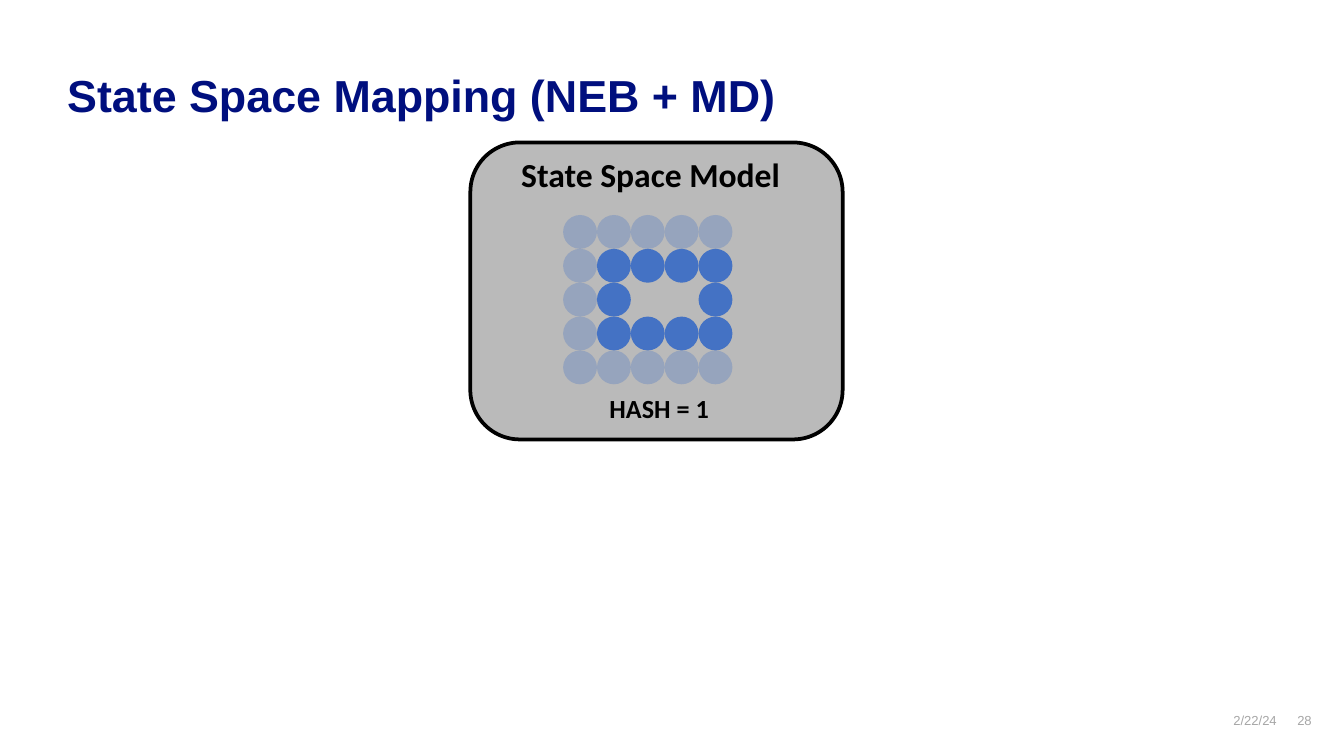
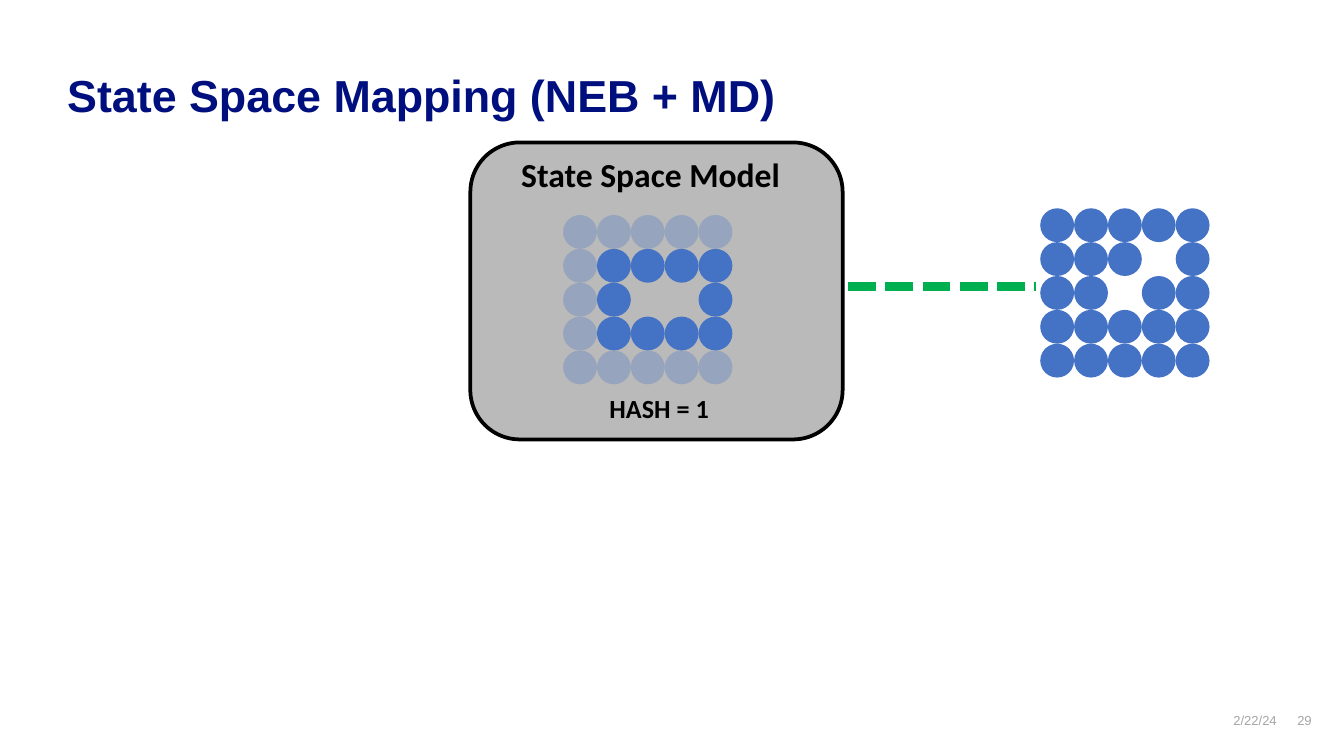
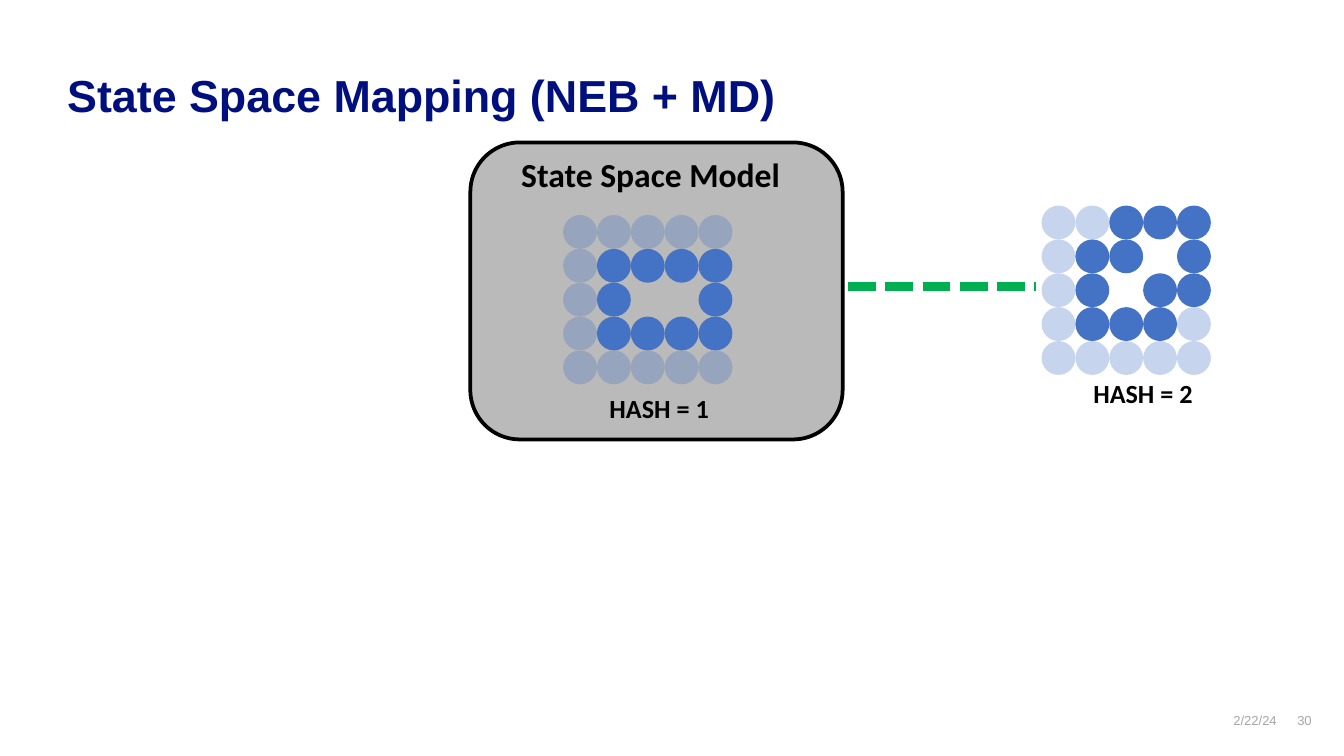
from lxml.etree import SubElement
from pptx import Presentation
from pptx.dml.color import RGBColor
from pptx.enum.dml import MSO_LINE
from pptx.enum.shapes import MSO_CONNECTOR, MSO_SHAPE
from pptx.enum.text import MSO_ANCHOR, MSO_AUTO_SIZE, PP_ALIGN
from pptx.oxml.ns import qn
from pptx.util import Inches, Pt

COLORS = {
    "title": "000F7E",
    "footer": "A6A6A6",
    "ink": "000000",
    "atom": "4472C4",
    "transition": "00B050",
}
TITLE = "State Space Mapping (NEB + MD)"
DATE = "2/22/24"
FIRST_NUMBER = 28
LATTICE_SIDE = 1.26

MODEL_LATTICE = ["ooooo", "o####", "o#  #", "o####", "ooooo"]
NEW_LATTICE = ["#####", "### #", "## ##", "#####", "#####"]
HASHED_LATTICE = ["oo###", "o## #", "o# ##", "o###o", "ooooo"]


def color(name):
    return RGBColor.from_string(COLORS[name])


def set_fill(shape, name, opacity=100):
    shape.fill.solid()
    shape.fill.fore_color.rgb = color(name)
    if opacity < 100:
        color_element = shape._element.spPr.find(qn("a:solidFill"))[0]
        SubElement(color_element, qn("a:alpha"), val=str(opacity * 1000))


def write(shape, text, size, font_name, color_name, bold=False,
          alignment=PP_ALIGN.LEFT, wrap=True, inset=True):
    frame = shape.text_frame
    frame.text = text
    frame.word_wrap = wrap
    frame.auto_size = MSO_AUTO_SIZE.NONE
    frame.vertical_anchor = MSO_ANCHOR.TOP
    if not inset:
        frame.margin_left = frame.margin_right = 0
        frame.margin_top = frame.margin_bottom = 0
    paragraph = frame.paragraphs[0]
    paragraph.alignment = alignment
    paragraph.font.size = Pt(size)
    paragraph.font.name = font_name
    paragraph.font.bold = bold
    paragraph.font.color.rgb = color(color_name)


def add_text(slide, left, top, width, height, text, *style, **options):
    box = slide.shapes.add_textbox(
        Inches(left), Inches(top), Inches(width), Inches(height))
    write(box, text, *style, **options)


def add_frame(presentation, number):
    slide = presentation.slides.add_slide(presentation.slide_layouts[5])
    title = slide.shapes.title
    title.left, title.top = Inches(0.5), Inches(0.5)
    title.width, title.height = Inches(9.03), Inches(0.73)
    write(title, TITLE, 24, "Arial", "title", bold=True, inset=False)
    for left, width, height, text in (
            (9.52, 0.24, 0.22, str(number)), (8.83, 0.67, 0.16, DATE)):
        add_text(slide, left, 5.3, width, height, text, 7, "Arial", "footer",
                 alignment=PP_ALIGN.RIGHT, inset=False)
    return slide


def add_lattice(slide, left, top, rows):
    lattice = slide.shapes.add_group_shape()
    pitch = LATTICE_SIDE / len(rows)
    for row, sites in enumerate(rows):
        for column, site in enumerate(sites):
            if site == " ":
                continue
            atom = lattice.shapes.add_shape(
                MSO_SHAPE.OVAL,
                Inches(left + column * pitch), Inches(top + row * pitch),
                Inches(pitch), Inches(pitch))
            atom.shadow.inherit = False
            atom.line.fill.background()
            set_fill(atom, "atom", 100 if site == "#" else 30)


def add_hash(slide, left, top, value):
    add_text(slide, left, top, 0.95, 0.34, f"HASH = {value}", 14, "Calibri", "ink",
             bold=True, alignment=PP_ALIGN.CENTER, wrap=False)


def add_model(slide, left, top, width, height):
    panel = slide.shapes.add_shape(
        MSO_SHAPE.ROUNDED_RECTANGLE,
        Inches(left), Inches(top), Inches(width), Inches(height))
    panel.shadow.inherit = False
    set_fill(panel, "ink", 27)
    panel.line.color.rgb = color("ink")
    panel.line.width = Pt(2)
    add_lattice(slide, left + 0.69, top + 0.54, MODEL_LATTICE)
    add_hash(slide, left + 0.93, top + 1.81, 1)
    add_text(slide, left + 0.28, top + 0.04, width - 0.28, 0.4,
             "State Space Model", 18, "Calibri", "ink", bold=True)


def add_transition(slide, left, right, y):
    connector = slide.shapes.add_connector(
        MSO_CONNECTOR.STRAIGHT, Inches(left), Inches(y), Inches(right), Inches(y))
    connector.line.color.rgb = color("transition")
    connector.line.width = Pt(5)
    connector.line.dash_style = MSO_LINE.SQUARE_DOT
    SubElement(connector._element.spPr, qn("a:effectLst"))


def add_new_state(slide, left, top, rows, hash_value=None):
    add_lattice(slide, left, top, rows)
    if hash_value is not None:
        add_hash(slide, left + 0.28, top + 1.23, hash_value)
    add_transition(slide, 6.31, 7.71, 2.13)


def main():
    presentation = Presentation()
    presentation.slide_width = Inches(10)
    presentation.slide_height = Inches(10 * 9 / 16)
    new_states = [None, (7.74, 1.55, NEW_LATTICE), (7.75, 1.53, HASHED_LATTICE, 2)]
    for number, new_state in enumerate(new_states, FIRST_NUMBER):
        slide = add_frame(presentation, number)
        if new_state:
            add_new_state(slide, *new_state)
        add_model(slide, 3.5, 1.06, 2.77, 2.21)
    presentation.save("out.pptx")


if __name__ == "__main__":
    main()
